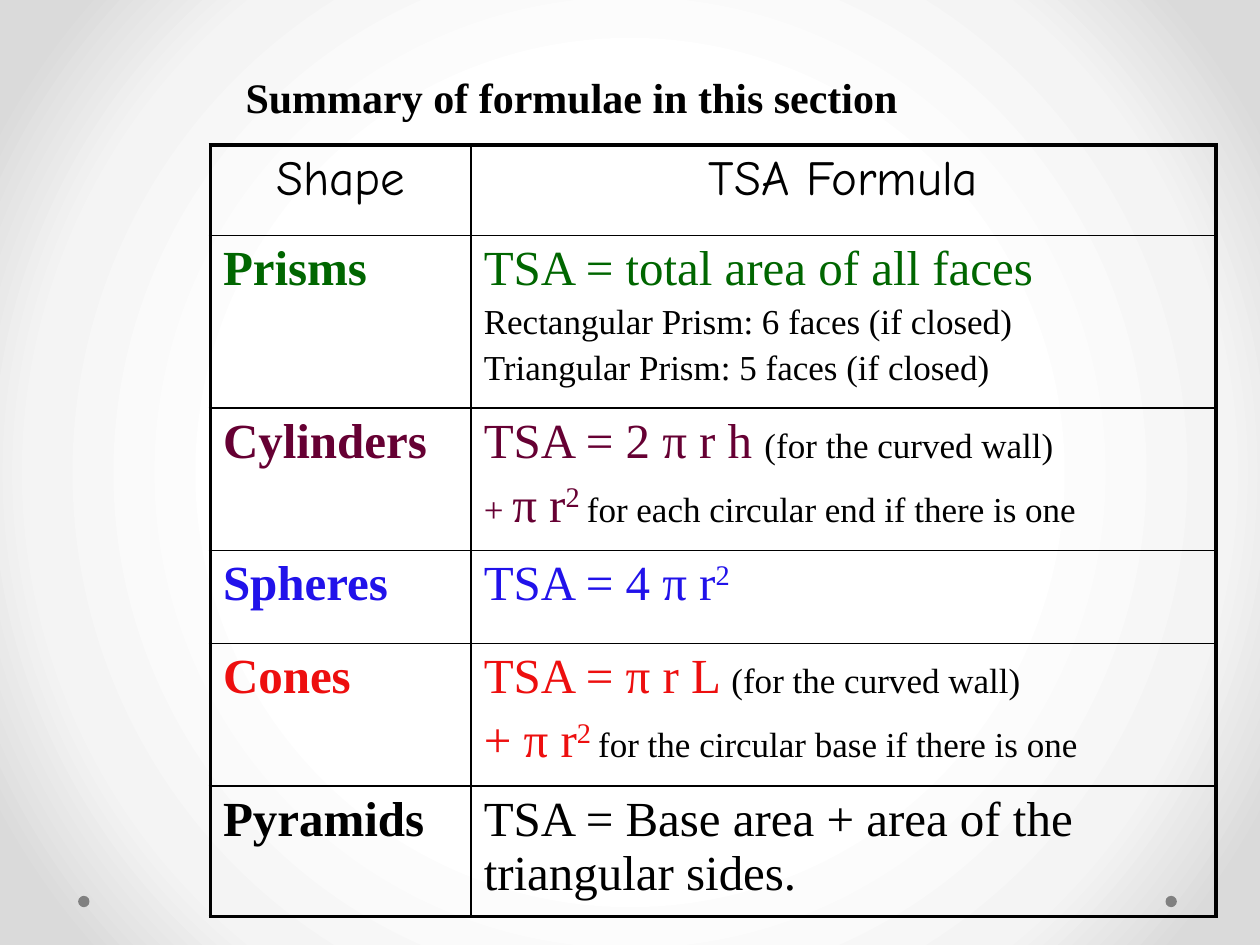
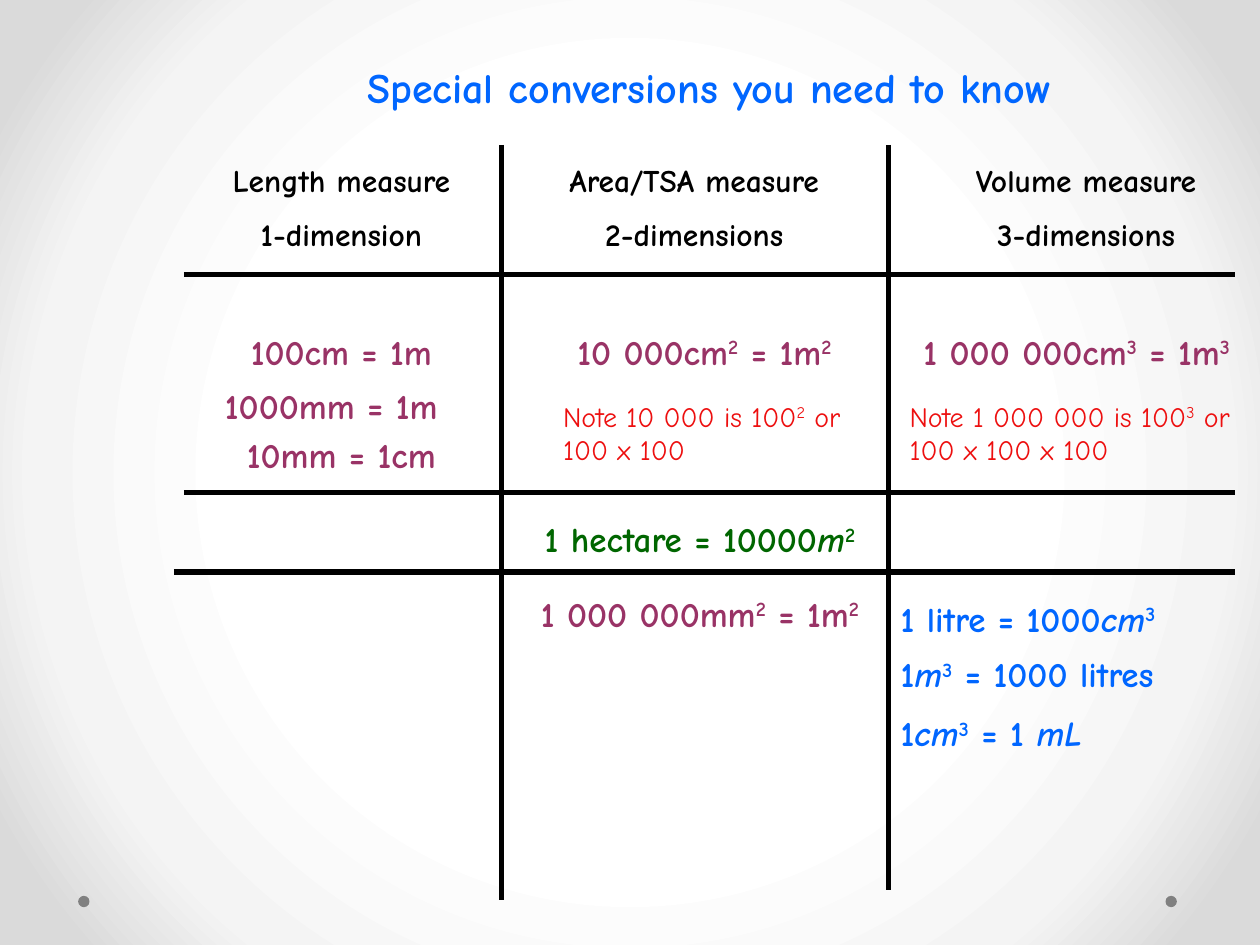
from lxml import etree
from pptx import Presentation
from pptx import util as u
from pptx.dml.color import RGBColor
from pptx.enum import shapes, text
from pptx.oxml import ns

BLACK = RGBColor(0x00, 0x00, 0x00)
GREY = RGBColor(0x80, 0x80, 0x80)
GREEN = RGBColor(0x00, 0x66, 0x00)
MAROON = RGBColor(0x66, 0x00, 0x33)
INDIGO = RGBColor(0x21, 0x12, 0xEA)
RED = RGBColor(0xED, 0x0F, 0x0F)
BLUE = RGBColor(0x00, 0x66, 0xFF)
PLUM = RGBColor(0x99, 0x33, 0x66)
GRADIENT_STOPS = [(50, "FFFFFF"), (76, "F4F4F4"), (92, "DADADA")]

SERIF = "Times New Roman"
COMIC = "Comic Neue"
LEFT = text.PP_ALIGN.LEFT
CENTER = text.PP_ALIGN.CENTER

RAISED = {"raised": True}
ITALIC = {"italic": True}
REMARK = {"size": 20, "color": BLACK}
SQUARED = ("2", RAISED)
CUBED = ("3", RAISED)


def add_xml(parent, tag, **attributes):
    return etree.SubElement(parent, ns.qn(tag), attributes)


def format_run(run, size, color, font, bold=False, italic=False, raised=False):
    run.font.size = u.Pt(size)
    run.font.name = font
    run.font.bold = bold
    run.font.italic = italic
    run.font.color.rgb = color
    if raised:
        run.font._element.set("baseline", "30000")


def write_text(frame, paragraphs, align=LEFT, gap=0, **style):
    """Each paragraph is a string or a list of strings and (string, changes) pairs."""
    frame.word_wrap = True
    for index, content in enumerate(paragraphs):
        paragraph = frame.paragraphs[0] if index == 0 else frame.add_paragraph()
        paragraph.alignment = align
        if index:
            paragraph.space_before = u.Pt(gap)
        for part in [content] if isinstance(content, str) else content:
            words, changes = (part, {}) if isinstance(part, str) else part
            run = paragraph.add_run()
            run.text = words
            format_run(run, **{**style, **changes})


def add_label(slide, left, top, width, height, paragraphs, **style):
    box = slide.shapes.add_textbox(*map(u.Inches, (left, top, width, height)))
    write_text(box.text_frame, paragraphs, **style)


def add_rule(slide, x1, y1, x2, y2):
    line = slide.shapes.add_connector(
        shapes.MSO_CONNECTOR.STRAIGHT, *map(u.Inches, (x1, y1, x2, y2)))
    line.line.color.rgb = BLACK
    line.line.width = u.Pt(3)
    add_xml(line._element.spPr, "a:effectLst")


def add_dot(slide, left):
    dot = slide.shapes.add_shape(
        shapes.MSO_SHAPE.OVAL, *map(u.Inches, (left, 7.11, 0.09, 0.09)))
    dot.shadow.inherit = False
    dot.fill.solid()
    dot.fill.fore_color.rgb = GREY
    dot.line.fill.background()


def paint_background(slide):
    slide.background.fill.gradient()
    gradient = slide.element.find(".//" + ns.qn("a:gradFill"))
    for child in list(gradient):
        gradient.remove(child)
    stops = add_xml(gradient, "a:gsLst")
    for position, color in GRADIENT_STOPS:
        stop = add_xml(stops, "a:gs", pos=str(position * 1000))
        add_xml(stop, "a:srgbClr", val=color)
    circle = add_xml(gradient, "a:path", path="circle")
    add_xml(circle, "a:fillToRect", l="50000", t="50000", r="50000", b="50000")


def new_slide(presentation):
    slide = presentation.slides.add_slide(presentation.slide_layouts[6])
    paint_background(slide)
    for left in (9.25, 0.62):
        add_dot(slide, left)
    return slide


def set_borders(cell, **outer_sides):
    properties = cell._tc.get_or_add_tcPr()
    for side in "LRTB":
        width = u.Pt(2.25 if outer_sides[side] else 1)
        line = add_xml(properties, "a:ln" + side, w=str(int(width)))
        fill = add_xml(line, "a:solidFill")
        add_xml(fill, "a:srgbClr", val=str(BLACK))


def add_formula_table(slide, rows, column_widths, row_heights):
    frame = slide.shapes.add_table(
        len(rows), len(column_widths), u.Inches(1.67), u.Inches(1.15),
        u.Inches(sum(column_widths)), u.Inches(sum(row_heights)))
    table = frame.table
    table.first_row = table.horz_banding = False
    for column, width in zip(table.columns, column_widths):
        column.width = u.Inches(width)
    last_row, last_column = len(rows) - 1, len(column_widths) - 1
    for r, (name, formula, color) in enumerate(rows):
        table.rows[r].height = u.Inches(row_heights[r])
        for c, paragraphs in enumerate(([name], formula)):
            cell = table.cell(r, c)
            set_borders(cell, L=c == 0, R=c == last_column, T=r == 0, B=r == last_row)
            cell.fill.background()
            header = r == 0
            write_text(cell.text_frame, paragraphs, size=28, color=color,
                       font=COMIC if header else SERIF,
                       align=CENTER if header else LEFT,
                       bold=c == 0 and not header,
                       gap=4 if name == "Prisms" else 5.6)


def build_formulae(presentation):
    slide = new_slide(presentation)
    add_label(slide, 1.85, 0.52, 6.69, 0.5, ["Summary of formulae in this section"],
              size=24, color=BLACK, font=SERIF, bold=True)
    wall = ("(for the curved wall)", REMARK)
    rows = [
        ("Shape", ["TSA Formula"], BLACK),
        ("Prisms", ["TSA = total area of all faces",
                    [("Rectangular Prism: 6 faces (if closed)", REMARK)],
                    [("Triangular Prism: 5 faces (if closed)", REMARK)]], GREEN),
        ("Cylinders", [["TSA = 2 π r h ", wall],
                       [("+ ", {"size": 20}), "π r", ("2 ", RAISED),
                        ("for each circular end if there is one", REMARK)]], MAROON),
        ("Spheres", [["TSA = 4 π r", SQUARED]], INDIGO),
        ("Cones", [["TSA = π r L ", wall],
                   ["+ π r", ("2 ", RAISED),
                    ("for the circular base if there is one", REMARK)]], RED),
        ("Pyramids", ["TSA = Base area + area of the triangular sides."], BLACK),
    ]
    add_formula_table(slide, rows, [2.07, 5.91], [0.72, 1.37, 1.13, 0.74, 1.13, 1.03])


def build_conversions(presentation):
    slide = new_slide(presentation)
    add_label(slide, 1.93, 0.44, 7.4, 0.5, ["Special conversions you need to know"],
              size=24, color=BLUE, font=COMIC, bold=True, align=CENTER)

    for x, bottom in [(3.98, 7.14), (7.05, 7.06)]:
        add_rule(slide, x, 1.15, x, bottom)
    for left, y in [(1.46, 2.18), (1.46, 3.91), (1.38, 4.54)]:
        add_rule(slide, left, y, 9.8, y)

    headings = [
        (1.53, 2.36, "Length measure", "1-dimension"),
        (4.21, 2.6, "Area/TSA measure", "2-dimensions"),
        (7.44, 2.36, "Volume measure", "3-dimensions"),
    ]
    for left, width, measure, dimension in headings:
        add_label(slide, left, 1.23, width, 0.85, [measure, dimension], size=18,
                  color=BLACK, font=COMIC, bold=True, align=CENTER, gap=9)

    conversions = [
        (1.61, 2.57, 2.2, PLUM, CENTER, ["100cm = 1m"]),
        (1.53, 3, 2.2, PLUM, CENTER, ["1000mm = 1m"]),
        (1.61, 3.39, 2.2, PLUM, CENTER, ["10mm = 1cm"]),
        (4.29, 2.57, 2.6, PLUM, CENTER, ["10 000cm", SQUARED, " = 1m", SQUARED]),
        (6.97, 2.57, 3.15, PLUM, CENTER, ["1 000 000cm", CUBED, " = 1m", CUBED]),
        (3.98, 4.06, 3.15, GREEN, CENTER, ["1 hectare = 10000", ("m", ITALIC), SQUARED]),
        (3.98, 4.65, 3.15, PLUM, CENTER, ["1 000 000mm", SQUARED, " = 1m", SQUARED]),
        (7.05, 4.69, 2.95, BLUE, LEFT, ["1 litre = 1000", ("cm", ITALIC), CUBED]),
        (7.05, 5.13, 2.95, BLUE, LEFT, ["1", ("m", ITALIC), CUBED, " = 1000 litres"]),
        (7.05, 5.6, 2.95, BLUE, LEFT,
         ["1", ("cm", ITALIC), CUBED, " = 1 ", ("mL", ITALIC)]),
    ]
    for left, top, width, color, align, parts in conversions:
        add_label(slide, left, top, width, 0.43, [parts], size=20, color=color,
                  font=COMIC, bold=True, align=align)

    notes = [
        (4.37, 2.52, ["Note 10 000 is 100", SQUARED, " or 100 x 100"]),
        (7.12, 2.88, ["Note 1 000 000 is 100", CUBED, " or 100 x 100 x 100"]),
    ]
    for left, width, parts in notes:
        add_label(slide, left, 3.12, width, 0.64, [parts],
                  size=16, color=RED, font=COMIC)


def main():
    presentation = Presentation()
    presentation.slide_width = u.Inches(10)
    presentation.slide_height = u.Inches(7.5)
    build_formulae(presentation)
    build_conversions(presentation)
    presentation.save("out.pptx")


if __name__ == "__main__":
    main()
